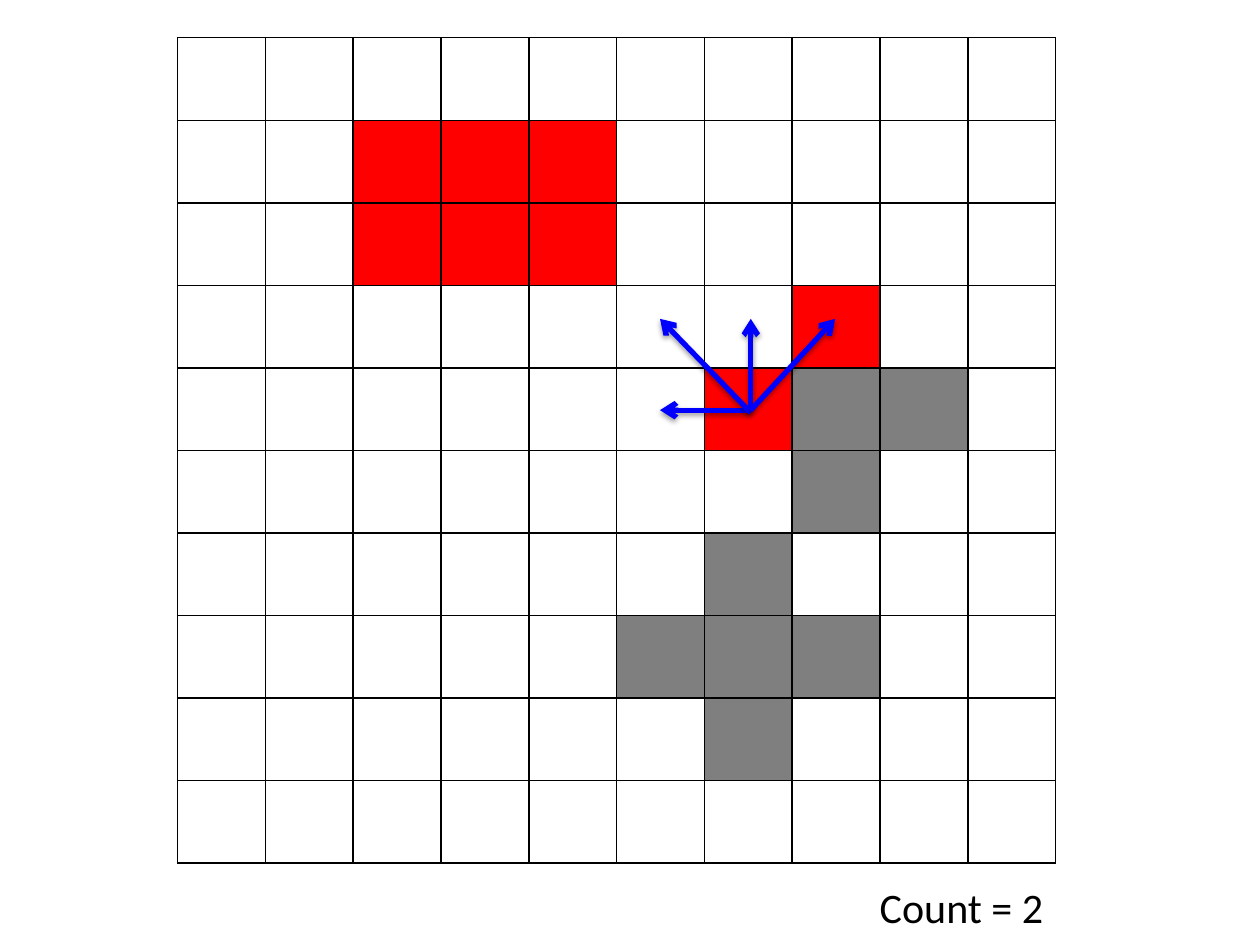
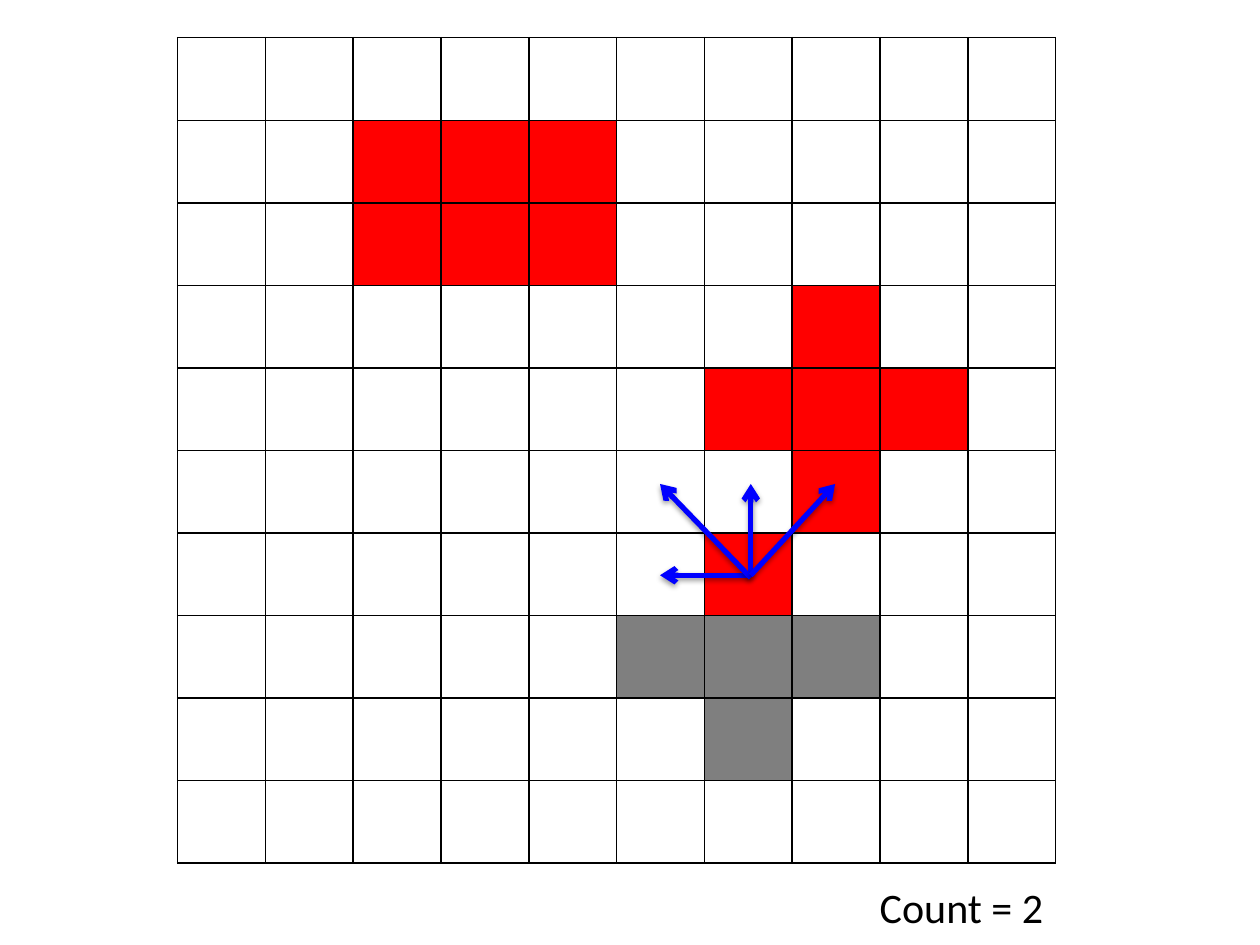
from dataclasses import dataclass

from lxml.etree import SubElement
from pptx import Presentation
from pptx.dml.color import RGBColor
from pptx.enum.shapes import MSO_CONNECTOR
from pptx.enum.text import MSO_AUTO_SIZE, PP_ALIGN
from pptx.oxml.ns import qn
from pptx.shapes.connector import Connector
from pptx.slide import Slide
from pptx.table import _Cell
from pptx.util import Cm, Pt

BLACK = RGBColor(0x00, 0x00, 0x00)
RED = RGBColor(0xFF, 0x00, 0x00)
GRAY = RGBColor(0x7F, 0x7F, 0x7F)
BLUE = RGBColor(0x00, 0x00, 0xFF)
FILLS = {"R": RED, "G": GRAY}
FONT = "Calibri"

GRID_SIZE = 10
GRID_LEFT, GRID_TOP = Cm(3.58), Cm(0.76)
CELL_WIDTH, CELL_HEIGHT = Cm(17.7) // GRID_SIZE, Cm(16.64) // GRID_SIZE


@dataclass(frozen=True)
class NeighborArrow:
    """Offsets in cm from the visited cell's centre to the tip, and of the start."""
    across: float
    up: float
    start_drop: float = 0


@dataclass(frozen=True)
class ScanStep:
    """Grid rows (R red, G gray, . empty), the visited cell and the count."""
    rows: tuple[str, ...]
    visited_row: int
    visited_column: int
    count: int


NEIGHBOR_ARROWS = (
    NeighborArrow(0, 1.84),
    NeighborArrow(-1.83, 0),
    NeighborArrow(-1.83, 1.84, start_drop=0.05),
    NeighborArrow(1.7, 1.84),
)

TOP_ROWS = (
    "..........",
    "..RRR.....",
    "..RRR.....",
    ".......R..",
)
BOTTOM_ROWS = (
    ".....GGG..",
    "......G...",
    "..........",
)
STEPS = (
    ScanStep(
        TOP_ROWS + ("......RGG.", ".......G..", "......G...") + BOTTOM_ROWS,
        visited_row=4, visited_column=6, count=2,
    ),
    ScanStep(
        TOP_ROWS + ("......RRR.", ".......R..", "......R...") + BOTTOM_ROWS,
        visited_row=6, visited_column=6, count=2,
    ),
)


def add_borders(cell: _Cell) -> None:
    properties = cell._tc.get_or_add_tcPr()
    for side in ("lnL", "lnR", "lnT", "lnB"):
        line = SubElement(properties, qn(f"a:{side}"), w=str(Pt(1)))
        fill = SubElement(line, qn("a:solidFill"))
        SubElement(fill, qn("a:srgbClr"), val=str(BLACK))


def add_grid(slide: Slide, rows: tuple[str, ...]) -> None:
    table = slide.shapes.add_table(
        GRID_SIZE, GRID_SIZE, GRID_LEFT, GRID_TOP,
        CELL_WIDTH * GRID_SIZE, CELL_HEIGHT * GRID_SIZE,
    ).table
    table.first_row = False
    table.horz_banding = False
    for row_index, row in enumerate(rows):
        for column_index, mark in enumerate(row):
            cell = table.cell(row_index, column_index)
            add_borders(cell)
            if mark in FILLS:
                cell.fill.solid()
                cell.fill.fore_color.rgb = FILLS[mark]
            else:
                cell.fill.background()


def add_count(slide: Slide, count: int) -> None:
    box = slide.shapes.add_textbox(Cm(16), Cm(17.65), Cm(5.28), Cm(1.27))
    frame = box.text_frame
    frame.word_wrap = True
    frame.auto_size = MSO_AUTO_SIZE.SHAPE_TO_FIT_TEXT
    paragraph = frame.paragraphs[0]
    paragraph.alignment = PP_ALIGN.RIGHT
    run = paragraph.add_run()
    run.text = f"Count = {count}"
    run.font.name = FONT
    run.font.size = Pt(24)
    run.font.color.rgb = BLACK


def style_arrow(connector: Connector) -> None:
    connector.line.color.rgb = BLUE
    connector.line.width = Pt(3)
    properties = connector.element.spPr
    SubElement(properties.find(qn("a:ln")), qn("a:tailEnd"), type="arrow")
    effects = SubElement(properties, qn("a:effectLst"))
    shadow = SubElement(
        effects, qn("a:outerShdw"), blurRad=str(Pt(3.1)),
        dist=str(Pt(1.6)), dir="5400000", rotWithShape="0",
    )
    color = SubElement(shadow, qn("a:srgbClr"), val=str(BLACK))
    SubElement(color, qn("a:alpha"), val="38000")


def add_neighbor_arrows(slide: Slide, row: int, column: int) -> None:
    """Point from the visited cell to the neighbours already scanned."""
    center_x = GRID_LEFT + int((column + 0.5) * CELL_WIDTH) + Cm(0.05)
    center_y = GRID_TOP + int((row + 0.5) * CELL_HEIGHT) + Cm(0.02)
    for arrow in NEIGHBOR_ARROWS:
        connector = slide.shapes.add_connector(
            MSO_CONNECTOR.STRAIGHT,
            center_x, center_y + Cm(arrow.start_drop),
            center_x + Cm(arrow.across), center_y - Cm(arrow.up),
        )
        style_arrow(connector)


def main() -> None:
    presentation = Presentation()
    presentation.slide_width = Cm(25.4)
    presentation.slide_height = Cm(19.05)
    blank_layout = presentation.slide_layouts[6]
    for step in STEPS:
        slide = presentation.slides.add_slide(blank_layout)
        add_grid(slide, step.rows)
        add_count(slide, step.count)
        add_neighbor_arrows(slide, step.visited_row, step.visited_column)
    presentation.save("out.pptx")


if __name__ == "__main__":
    main()
